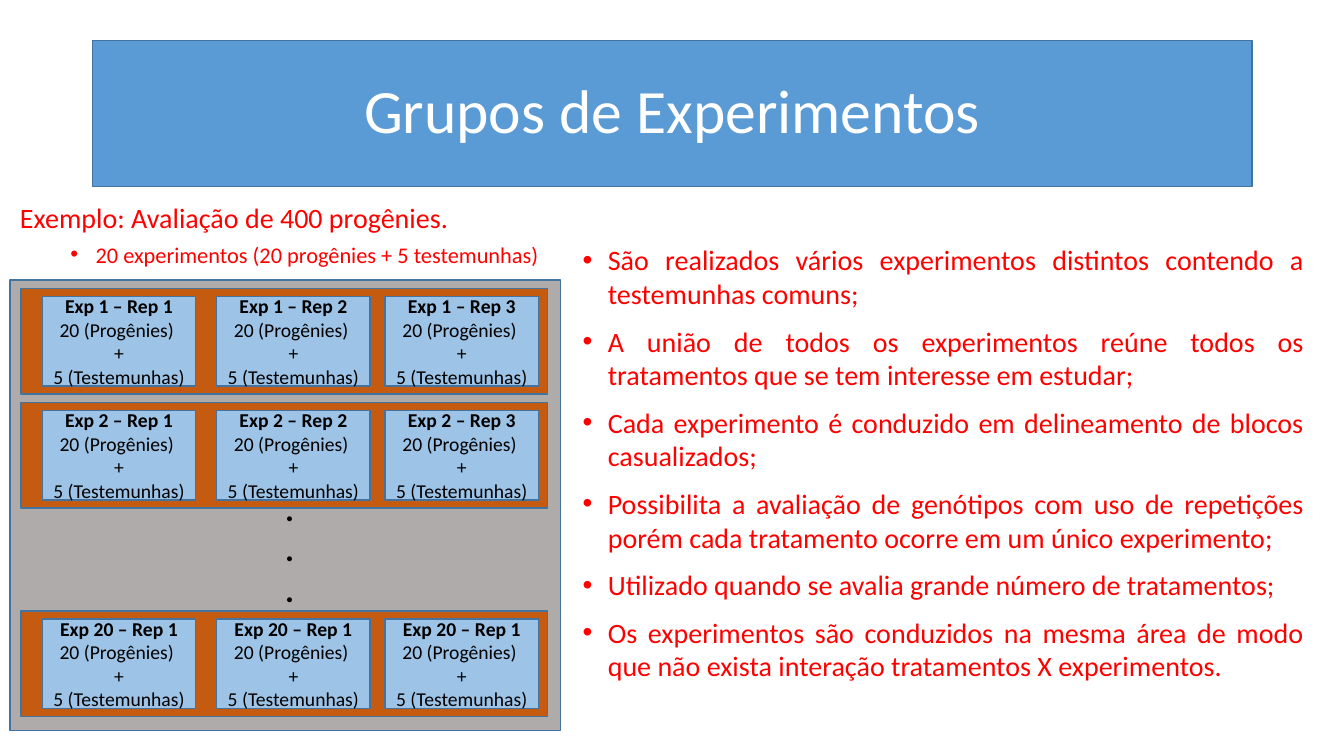
from lxml import etree
from pptx import Presentation
from pptx.dml.color import RGBColor
from pptx.enum import shapes, text
from pptx.oxml import ns
from pptx.util import Inches, Pt

COLORS = {
    "title": "5B9BD5", "edge": "43739E", "field": "AFABAB", "strip": "C55A11",
    "plot": "9DC3E6", "white": "FFFFFF", "red": "FF0000", "black": "000000",
}
ALIGN = text.PP_ALIGN
POINTS = [
    "São realizados vários experimentos distintos contendo a testemunhas comuns;",
    "A união de todos os experimentos reúne todos os tratamentos que se tem interesse em estudar;",
    "Cada experimento é conduzido em delineamento de blocos casualizados;",
    "Possibilita a avaliação de genótipos com uso de repetições porém cada tratamento ocorre em um único experimento;",
    "Utilizado quando se avalia grande número de tratamentos;",
    "Os experimentos são conduzidos na mesma área de modo que não exista interação tratamentos X experimentos.",
]
STRIPS = [
    (2.86, ["Exp 1 – Rep 1", "Exp 1 – Rep 2", "Exp 1 – Rep 3"]),
    (3.99, ["Exp 2 – Rep 1", "Exp 2 – Rep 2", "Exp 2 – Rep 3"]),
    (6.06, ["Exp 20 – Rep 1"] * 3),
]
COLUMNS = [0.42, 2.15, 3.82]


def rgb(name):
    return RGBColor.from_string(COLORS[name])


def style(para, size, color, align, bold=False):
    para.alignment = align
    for run in para.runs:
        font = run.font
        font.name = "Calibri"
        font.size = Pt(size)
        font.bold = bold
        font.color.rgb = rgb(color)


def bullet(para, indent):
    props = para._p.get_or_add_pPr()
    props.set("marL", str(Inches(indent)))
    props.set("indent", str(Inches(-0.25)))
    font = etree.SubElement(props, ns.qn("a:buFont"))
    font.set("typeface", "Arial")
    etree.SubElement(props, ns.qn("a:buChar")).set("char", "•")


def add_rect(slide, left, top, width, height, fill):
    rect = slide.shapes.add_shape(
        shapes.MSO_SHAPE.RECTANGLE,
        Inches(left), Inches(top), Inches(width), Inches(height))
    rect.shadow.inherit = False
    rect.fill.solid()
    rect.fill.fore_color.rgb = rgb(fill)
    rect.line.color.rgb = rgb("edge")
    rect.line.width = Pt(1)
    frame = rect.text_frame
    frame.word_wrap = True
    frame.vertical_anchor = text.MSO_ANCHOR.MIDDLE
    return frame


def add_text(slide, left, top, width, height, lines, wrap=True):
    box = slide.shapes.add_textbox(
        Inches(left), Inches(top), Inches(width), Inches(height))
    frame = box.text_frame
    frame.word_wrap = wrap
    frame.text = "\n".join(lines)
    return frame.paragraphs


def add_title(slide):
    frame = add_rect(slide, 0.92, 0.4, 11.5, 1.45, "title")
    frame.text = "Grupos de Experimentos"
    para = frame.paragraphs[0]
    style(para, 44, "white", ALIGN.CENTER)
    para.line_spacing = 0.9


def add_points(slide):
    paras = add_text(slide, 5.68, 2.36, 7.35, 4.6, POINTS)
    for index, para in enumerate(paras):
        bullet(para, 0.25)
        style(para, 20, "red", ALIGN.JUSTIFY)
        para.space_before = Pt(10 if index else 0)


def add_intro(slide):
    head, item = add_text(slide, 0.1, 1.77, 5.46, 0.78, [
        "Exemplo: Avaliação de 400 progênies.",
        "20 experimentos (20 progênies + 5 testemunhas) "])
    style(head, 20, "red", ALIGN.JUSTIFY)
    head.line_spacing = 1.5
    item.level = 1
    bullet(item, 0.75)
    style(item, 16, "red", ALIGN.JUSTIFY)
    item.space_before = Pt(5)


def add_plot(slide, left, top, label):
    frame = add_rect(slide, left, top, 1.52, 0.89, "plot")
    frame.text = "\n".join([label, "20 (Progênies) ", "+", "5 (Testemunhas)"])
    for index, para in enumerate(frame.paragraphs):
        style(para, 14, "black", ALIGN.CENTER, bold=index == 0)


def add_strip(slide, top, labels):
    add_rect(slide, 0.21, top, 5.22, 1.05, "strip")
    for left, label in zip(COLUMNS, labels):
        add_plot(slide, left, top + 0.08, label)


def add_dots(slide):
    for para in add_text(slide, 2.73, 4.79, 0.29, 1.31, "...", wrap=False):
        style(para, 24, "black", ALIGN.LEFT, bold=True)


def main():
    deck = Presentation()
    deck.slide_width = Inches(13.33)
    deck.slide_height = Inches(7.5)
    slide = deck.slides.add_slide(deck.slide_layouts[6])
    add_title(slide)
    add_points(slide)
    add_rect(slide, 0.1, 2.78, 5.46, 4.47, "field")
    add_intro(slide)
    for top, labels in STRIPS:
        add_strip(slide, top, labels)
    add_dots(slide)
    deck.save("out.pptx")


if __name__ == "__main__":
    main()
